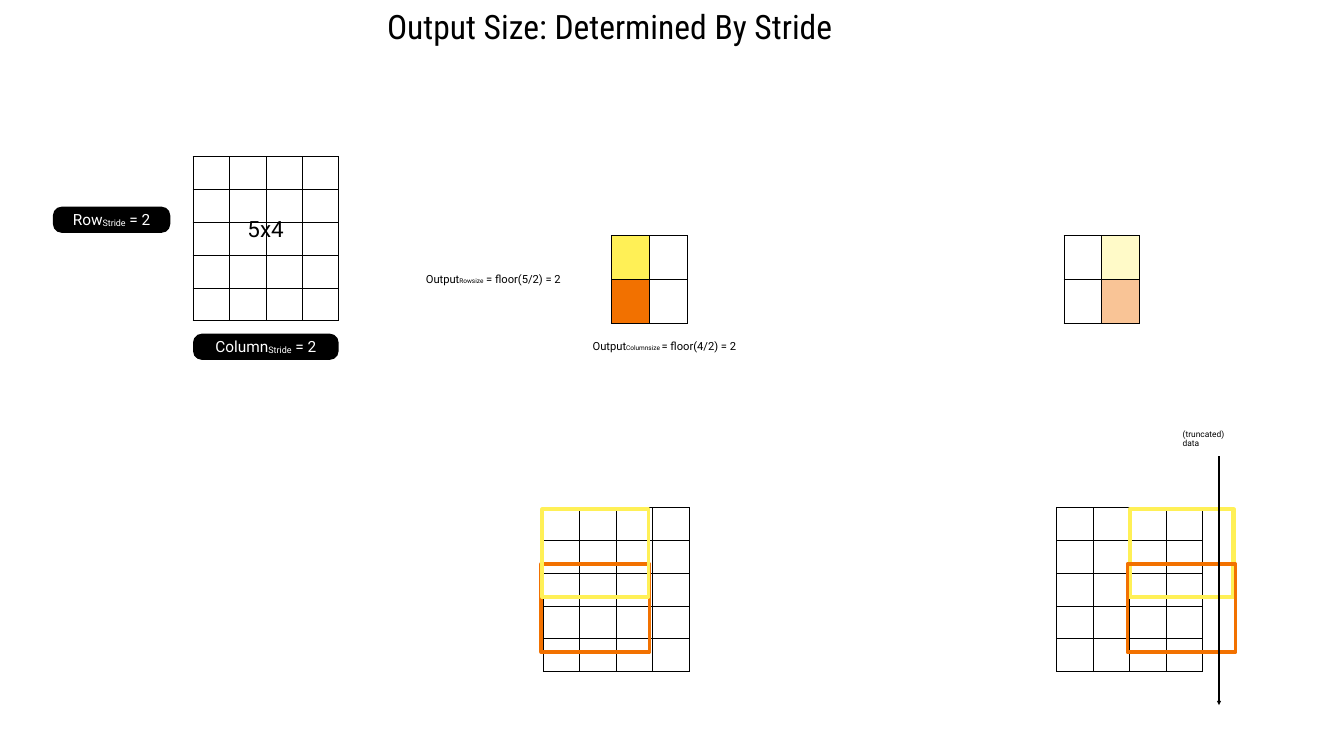
from dataclasses import dataclass, field

from lxml import etree
from pptx import Presentation
from pptx.dml.color import RGBColor
from pptx.enum.shapes import MSO_CONNECTOR, MSO_SHAPE
from pptx.enum.text import MSO_ANCHOR, MSO_AUTO_SIZE, PP_ALIGN
from pptx.oxml import parse_xml
from pptx.oxml.ns import nsdecls, qn
from pptx.shapes.base import BaseShape
from pptx.slide import Slide
from pptx.table import _Cell
from pptx.text.text import TextFrame
from pptx.util import Inches, Pt

BLACK = RGBColor(0x00, 0x00, 0x00)
WHITE = RGBColor(0xFF, 0xFF, 0xFF)
YELLOW = RGBColor(0xFF, 0xF0, 0x56)
ORANGE = RGBColor(0xF2, 0x71, 0x00)
BODY_FONT = "Roboto"
TITLE_FONT = "Roboto Condensed"
LEFT, CENTER = PP_ALIGN.LEFT, PP_ALIGN.CENTER
MIDDLE = MSO_ANCHOR.MIDDLE
FIT_SHAPE = MSO_AUTO_SIZE.SHAPE_TO_FIT_TEXT
RECTANGLE, ROUNDED = MSO_SHAPE.RECTANGLE, MSO_SHAPE.ROUNDED_RECTANGLE
STRAIGHT = MSO_CONNECTOR.STRAIGHT
SUBSCRIPT = "-6000"


@dataclass
class Box:
    left: float
    top: float
    width: float
    height: float

    def lengths(self) -> list[Inches]:
        return [Inches(value) for value in (self.left, self.top, self.width, self.height)]


@dataclass
class Grid:
    box: Box
    rows: int
    columns: int
    fills: dict[tuple[int, int], RGBColor] = field(default_factory=dict)
    opacity: dict[tuple[int, int], int] = field(default_factory=dict)


@dataclass
class Label:
    """Text whose second piece, when there are three, is a subscript."""
    box: Box
    pieces: tuple[str, ...]
    size: int


@dataclass
class Window:
    box: Box
    color: RGBColor
    weight: int


INPUT_SIZE = (2.89, 2.91)
OUTPUT_SIZE = (1.5, 1.75)
GRIDS = [
    Grid(Box(3.83, 3.11, *INPUT_SIZE), 5, 4),
    Grid(Box(21.11, 4.67, *OUTPUT_SIZE), 2, 2, {(0, 1): YELLOW, (1, 1): ORANGE},
         {(0, 1): 32, (1, 1): 41}),
    Grid(Box(12.13, 4.67, *OUTPUT_SIZE), 2, 2, {(0, 0): YELLOW, (1, 0): ORANGE}),
    Grid(Box(10.78, 10.07, *INPUT_SIZE), 5, 4),
    Grid(Box(20.97, 10.07, *INPUT_SIZE), 5, 4),
]
STRIDES = [
    Label(Box(3.83, 6.62, 2.89, 0.52), ("Column", "Stride", " = 2"), 22),
    Label(Box(1.05, 4.1, 2.33, 0.52), ("Row", "Stride", " = 2"), 22),
]
LABELS = [
    Label(Box(4.85, 4.25, 0.85, 0.63), ("5x4",), 32),
    Label(Box(8.39, 5.37, 2.89, 0.35), ("Output", "Rowsize", " = floor(5/2) = 2"), 16),
    Label(Box(11.7, 6.7, 3.08, 0.35), ("Output", "Columnsize ", "= floor(4/2) = 2"), 16),
    Label(Box(23.41, 8.56, 1.3, 0.3), ("(truncated)\vdata",), 12),
]
WINDOWS = [
    Window(Box(10.74, 11.19, 2.15, 1.75), ORANGE, 5),
    Window(Box(10.76, 10.1, 2.11, 1.75), YELLOW, 5),
    Window(Box(22.42, 10.1, 2.06, 1.75), YELLOW, 6),
    Window(Box(22.37, 11.19, 2.15, 1.75), ORANGE, 5),
]


def place(shape: BaseShape, box: Box) -> None:
    shape.left, shape.top, shape.width, shape.height = box.lengths()


def write(frame: TextFrame, pieces: tuple[str, ...], size: int, color: RGBColor,
          font: str = BODY_FONT, align: PP_ALIGN = LEFT) -> None:
    frame.margin_left = frame.margin_right = Inches(0.06)
    frame.margin_top = frame.margin_bottom = Inches(0.06)
    frame.vertical_anchor = MIDDLE
    paragraph = frame.paragraphs[0]
    paragraph.text = pieces[0]
    paragraph.alignment = align
    for piece in pieces[1:]:
        paragraph.add_run().text = piece
    for run in paragraph.runs:
        run.font.name = font
        run.font.size = Pt(size)
        run.font.color.rgb = color
    if len(pieces) == 3:
        paragraph.runs[1]._r.get_or_add_rPr().set("baseline", SUBSCRIPT)


def fit_to_text(frame: TextFrame) -> None:
    frame.word_wrap = False
    frame.auto_size = FIT_SHAPE
    frame.paragraphs[0].line_spacing = 0.9


def add_borders(cell: _Cell) -> None:
    properties = cell._tc.get_or_add_tcPr()
    for index, side in enumerate(("lnL", "lnR", "lnT", "lnB")):
        properties.insert(index, parse_xml(
            f'<a:{side} {nsdecls("a")} w="{Pt(1)}"><a:solidFill>'
            f'<a:srgbClr val="{BLACK}"/></a:solidFill></a:{side}>'))


def set_empty_text_size(cell: _Cell, size: int) -> None:
    """An empty cell takes its minimum height from the end-of-paragraph size."""
    end = etree.SubElement(cell.text_frame.paragraphs[0]._p, qn("a:endParaRPr"),
                           sz=str(size * 100))
    etree.SubElement(end, qn("a:latin"), typeface=BODY_FONT)


def draw_grid(slide: Slide, grid: Grid) -> None:
    table = slide.shapes.add_table(grid.rows, grid.columns, *grid.box.lengths()).table
    table.first_row = table.horz_banding = False
    for row in range(grid.rows):
        for column in range(grid.columns):
            cell = table.cell(row, column)
            position = (row, column)
            if position in grid.fills:
                cell.fill.solid()
                cell.fill.fore_color.rgb = grid.fills[position]
            else:
                cell.fill.background()
            if position in grid.opacity:
                color = cell._tc.tcPr.find(f".//{qn('a:srgbClr')}")
                etree.SubElement(color, qn("a:alpha"), val=str(grid.opacity[position] * 1000))
            add_borders(cell)
            set_empty_text_size(cell, 33)


def draw_stride(slide: Slide, label: Label) -> None:
    shape = slide.shapes.add_shape(ROUNDED, *label.box.lengths())
    shape.adjustments[0] = 0.338
    shape.shadow.inherit = False
    shape.fill.solid()
    shape.fill.fore_color.rgb = BLACK
    shape.line.fill.background()
    write(shape.text_frame, label.pieces, label.size, WHITE, align=CENTER)


def draw_label(slide: Slide, label: Label) -> None:
    frame = slide.shapes.add_textbox(*label.box.lengths()).text_frame
    write(frame, label.pieces, label.size, BLACK)
    fit_to_text(frame)


def draw_window(slide: Slide, window: Window) -> None:
    shape = slide.shapes.add_shape(RECTANGLE, *window.box.lengths())
    shape.shadow.inherit = False
    shape.fill.background()
    shape.line.color.rgb = window.color
    shape.line.width = Pt(window.weight)


def draw_down_arrow(slide: Slide, x: float, top: float, bottom: float) -> None:
    arrow = slide.shapes.add_connector(STRAIGHT, Inches(x), Inches(top), Inches(x), Inches(bottom))
    arrow.line.color.rgb = BLACK
    arrow.line.width = Pt(2)
    etree.SubElement(arrow.line._get_or_add_ln(), qn("a:tailEnd"), type="triangle")
    etree.SubElement(arrow._element.spPr, qn("a:effectLst"))


def main() -> None:
    presentation = Presentation()
    presentation.slide_width, presentation.slide_height = Inches(26.67), Inches(15)
    slide = presentation.slides.add_slide(presentation.slide_layouts[5])
    title = slide.shapes.title
    place(title, Box(7.62, 0.1, 9.19, 0.92))
    write(title.text_frame, ("Output Size: Determined By Stride",), 48, BLACK, TITLE_FONT)
    fit_to_text(title.text_frame)
    for grid in GRIDS:
        draw_grid(slide, grid)
    for stride in STRIDES:
        draw_stride(slide, stride)
    for label in LABELS:
        draw_label(slide, label)
    for window in WINDOWS:
        draw_window(slide, window)
    draw_down_arrow(slide, 24.19, 9.05, 13.99)
    presentation.save("out.pptx")


if __name__ == "__main__":
    main()
